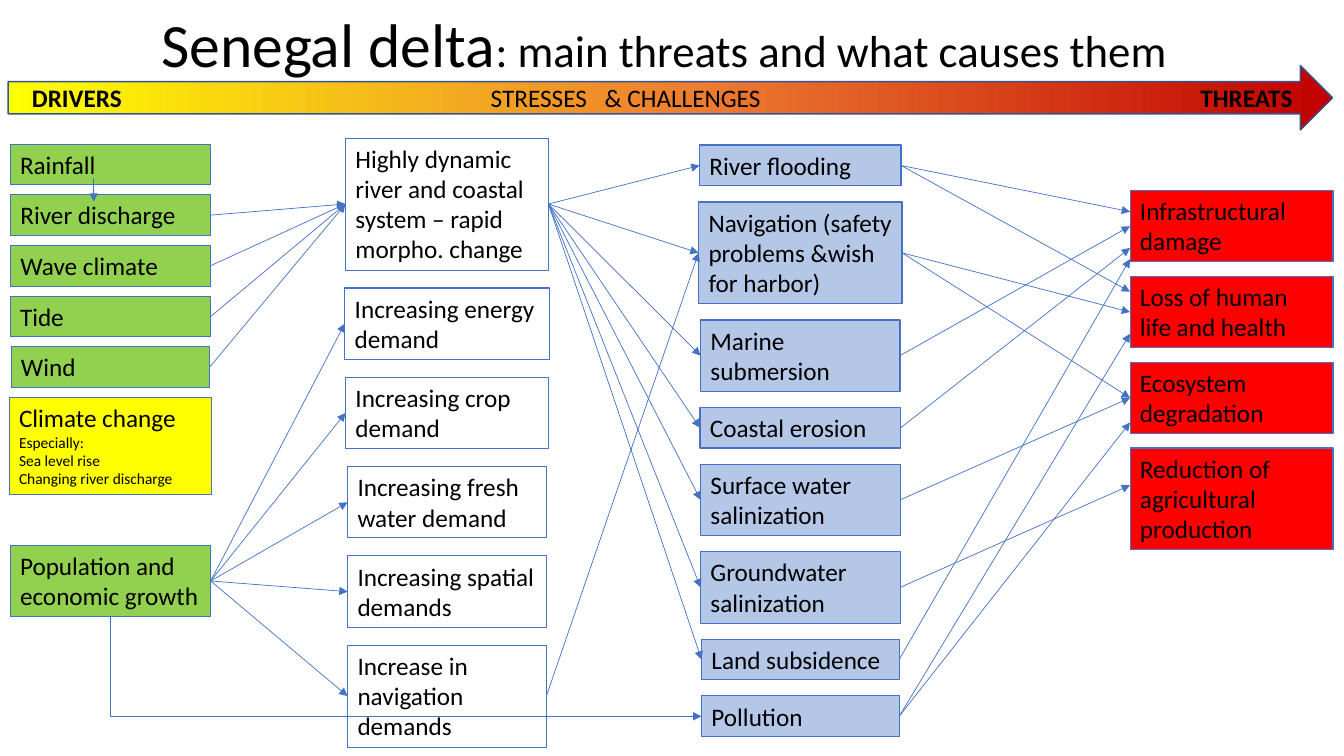
from copy import deepcopy

from lxml.etree import SubElement
from pptx import Presentation
from pptx.dml.color import RGBColor
from pptx.enum.shapes import MSO_CONNECTOR, MSO_SHAPE
from pptx.enum.text import MSO_ANCHOR, MSO_AUTO_SIZE, PP_ALIGN
from pptx.oxml.ns import qn
from pptx.util import Pt

BLUE = "4472C4"
GREEN = "92D050"
ONE_LINE, TWO_LINES, THREE_LINES, FOUR_LINES = 29.08, 51, 72.7, 94.3
TOP, LEFT, BOTTOM, RIGHT = range(4)

DRIVERS = [
    ("Rainfall", ONE_LINE, 0.7, GREEN),
    ("River discharge", ONE_LINE, 1, GREEN),
    ("Wave climate", ONE_LINE, 1, GREEN),
    ("Tide", ONE_LINE, 0.7, GREEN),
    ("Wind", ONE_LINE, 1.4, GREEN),
    ("Climate change", 69.1, 0, "FFFF00"),
]
POPULATION = [("Population and economic growth", TWO_LINES, 0.7, GREEN)]
STRESSES = [
    ("Highly dynamic river and coastal system – rapid morpho. change", FOUR_LINES, 0.5, None),
    ("Increasing energy demand", TWO_LINES, 0, None),
    ("Increasing crop demand", TWO_LINES, 0.5, None),
    ("Increasing fresh water demand", TWO_LINES, 2, None),
    ("Increasing spatial demands", TWO_LINES, 2, None),
    ("Increase in navigation demands", THREE_LINES, 2, None),
]
CHALLENGES = [
    (text, height, inset, "B4C7E7")
    for text, height, inset in [
        ("River flooding", ONE_LINE, 0.7),
        ("Navigation (safety problems &wish for harbor)", THREE_LINES, 0),
        ("Marine submersion", TWO_LINES, 1.4),
        ("Coastal erosion", ONE_LINE, 1),
        ("Surface water salinization", TWO_LINES, 1.4),
        ("Groundwater salinization", TWO_LINES, 1.4),
        ("Land subsidence", ONE_LINE, 2.1),
        ("Pollution", ONE_LINE, 2.1),
    ]
]
THREATS = [
    ("Infrastructural damage", TWO_LINES, 0, "FF0000"),
    ("Loss of human life and health", TWO_LINES, 0, "FF0000"),
    ("Ecosystem degradation", TWO_LINES, 0, "FF0000"),
    ("Reduction of agricultural production", THREE_LINES, 0, "FF0000"),
]
CLIMATE_DETAILS = ["Especially:", "Sea level rise", "Changing river discharge"]
THREAT_LINKS = [
    (0, 0, -10.4), (0, 1, -14.5), (1, 1, 0), (1, 2, 0), (2, 0, 0), (3, 0, 15.5),
    (4, 2, 0), (5, 3, -9.7), (6, 0, 23.5), (7, 2, 17.6), (7, 1, 15.5),
]


def color(value):
    """Return the colour for a hex string."""
    return RGBColor.from_string(value)


def write(paragraph, text, size=18, bold=False):
    """Add a formatted run to a paragraph."""
    run = paragraph.add_run()
    run.text = text
    run.font.name = "Calibri"
    run.font.size = Pt(size)
    run.font.bold = bold
    run.font.color.rgb = color("000000")


def add_title(slide, left, top, width, height):
    """Fill the title placeholder."""
    title = slide.shapes.title
    title.left, title.top, title.width, title.height = map(Pt, (left, top, width, height))
    frame = title.text_frame
    frame.auto_size = MSO_AUTO_SIZE.NONE
    frame.vertical_anchor = MSO_ANCHOR.MIDDLE
    paragraph = frame.paragraphs[0]
    paragraph.alignment = PP_ALIGN.LEFT
    paragraph.line_spacing = 0.9
    write(paragraph, "Senegal delta", size=44)
    write(paragraph, ": main threats and what causes them", size=32)


def add_banner(slide, left, top, width, height):
    """Draw the gradient arrow with its headings set on tab stops."""
    banner = slide.shapes.add_shape(MSO_SHAPE.RIGHT_ARROW, Pt(left), Pt(top), Pt(width), Pt(height))
    banner.shadow.inherit = False
    banner.line.color.rgb = color("325491")
    banner.line.width = Pt(1)
    banner.fill.gradient()
    banner.fill.gradient_angle = 0
    stops = next(banner._element.iter(qn("a:gsLst")))
    stops.append(deepcopy(stops[-1]))
    ramp = [(0, "FFFF00"), (0.52, "ED7D31"), (1, "C00000")]
    for stop, (position, shade) in zip(banner.fill.gradient_stops, ramp):
        stop.color.rgb = color(shade)
        stop.position = position
    frame = banner.text_frame
    frame.margin_left = Pt(17)
    frame.vertical_anchor = MSO_ANCHOR.MIDDLE
    paragraph = frame.paragraphs[0]
    paragraph.alignment = PP_ALIGN.LEFT
    tabs = SubElement(paragraph._p.get_or_add_pPr(), qn("a:tabLst"))
    for position in (327.7, 409, 834.6):
        SubElement(tabs, qn("a:tab"), pos=str(int(Pt(position))), algn="l")
    write(paragraph, "DRIVERS", bold=True)
    write(paragraph, "\tSTRESSES\t& CHALLENGES\t")
    write(paragraph, "THREATS", bold=True)


def add_column(slide, left, top, width, gap, rows, line_width=0.75):
    """Stack labelled boxes downwards and return them."""
    boxes = []
    for text, height, inset, fill in rows:
        box = slide.shapes.add_shape(
            MSO_SHAPE.RECTANGLE, Pt(left + inset), Pt(top), Pt(width - 2 * inset), Pt(height))
        box.shadow.inherit = False
        box.line.color.rgb = color(BLUE)
        box.line.width = Pt(line_width)
        if fill:
            box.fill.solid()
            box.fill.fore_color.rgb = color(fill)
        else:
            box.fill.background()
        frame = box.text_frame
        frame.word_wrap = True
        frame.auto_size = MSO_AUTO_SIZE.SHAPE_TO_FIT_TEXT
        frame.vertical_anchor = MSO_ANCHOR.TOP
        frame.paragraphs[0].alignment = PP_ALIGN.LEFT
        write(frame.paragraphs[0], text)
        boxes.append(box)
        top += height + gap
    return boxes


def add_climate_details(box):
    """Add the small lines under the climate heading."""
    for detail in CLIMATE_DETAILS:
        paragraph = box.text_frame.add_paragraph()
        paragraph.alignment = PP_ALIGN.LEFT
        write(paragraph, detail, size=11)


def add_arrow(slide, start, end, kind=MSO_CONNECTOR.STRAIGHT):
    """Draw a thin arrow between two points."""
    arrow = slide.shapes.add_connector(kind, *map(int, (*start, *end)))
    arrow.line.color.rgb = color(BLUE)
    arrow.line.width = Pt(0.5)
    SubElement(arrow.line._get_or_add_ln(), qn("a:tailEnd"), type="triangle")
    SubElement(arrow._element.spPr, qn("a:effectLst"))
    return arrow


def link(slide, source, target, drop=0):
    """Join the right side of one box to the left side of another."""
    start = (source.left + source.width, source.top + source.height / 2)
    end = (target.left, target.top + target.height / 2 + Pt(drop))
    arrow = add_arrow(slide, start, end)
    arrow.begin_connect(source, RIGHT)
    if not drop:
        arrow.end_connect(target, LEFT)


def link_below(slide, source, target):
    """Join the bottom of one box to the left of another with one bend."""
    start = (source.left + source.width // 2, source.top + source.height)
    end = (target.left, target.top + target.height // 2)
    arrow = add_arrow(slide, start, end, MSO_CONNECTOR.ELBOW)
    arrow.begin_connect(source, BOTTOM)
    arrow.end_connect(target, LEFT)
    across, down = end[0] - start[0], end[1] - start[1]
    arrow.left = (start[0] + end[0] - down) // 2
    arrow.top = (start[1] + end[1] - across) // 2
    arrow.width, arrow.height = down, across
    properties = arrow._element.spPr
    properties.find(qn("a:prstGeom")).set("prst", "bentConnector2")
    transform = properties.find(qn("a:xfrm"))
    transform.set("rot", "16200000")
    transform.set("flipH", "1")


def add_links(slide, drivers, population, stresses, challenges, threats):
    """Draw all the arrows of cause and effect."""
    add_arrow(slide, (Pt(67), Pt(127.4)), (Pt(67), Pt(144)))
    for driver in drivers[1:5]:
        link(slide, driver, stresses[0])
    for stress in stresses[1:]:
        link(slide, population, stress)
    for challenge in challenges[:7]:
        link(slide, stresses[0], challenge)
    link(slide, stresses[5], challenges[1])
    link_below(slide, population, challenges[7])
    for challenge, threat, drop in THREAT_LINKS:
        link(slide, challenges[challenge], threats[threat], drop)


def main():
    """Build and save the presentation."""
    presentation = Presentation()
    presentation.slide_width, presentation.slide_height = Pt(960), Pt(540)
    slide = presentation.slides.add_slide(presentation.slide_layouts[5])
    add_title(slide, 108, -18, 828, 104.4)
    add_banner(slide, 5.8, 46.8, 946, 46)
    drivers = add_column(slide, 6.5, 103, 144.7, 7.1, DRIVERS)
    add_climate_details(drivers[5])
    population = add_column(slide, 6.5, 389.5, 144.7, 0, POPULATION)[0]
    stresses = add_column(slide, 246.3, 98.6, 146, 12.8, STRESSES)
    challenges = add_column(slide, 499, 103.7, 145.4, 11.5, CHALLENGES)
    threats = add_column(slide, 807.2, 136.1, 145, 10.3, THREATS)
    for box in challenges[:4]:
        box.line.width = Pt(1)
    add_links(slide, drivers, population, stresses, challenges, threats)
    presentation.save("out.pptx")


if __name__ == "__main__":
    main()
